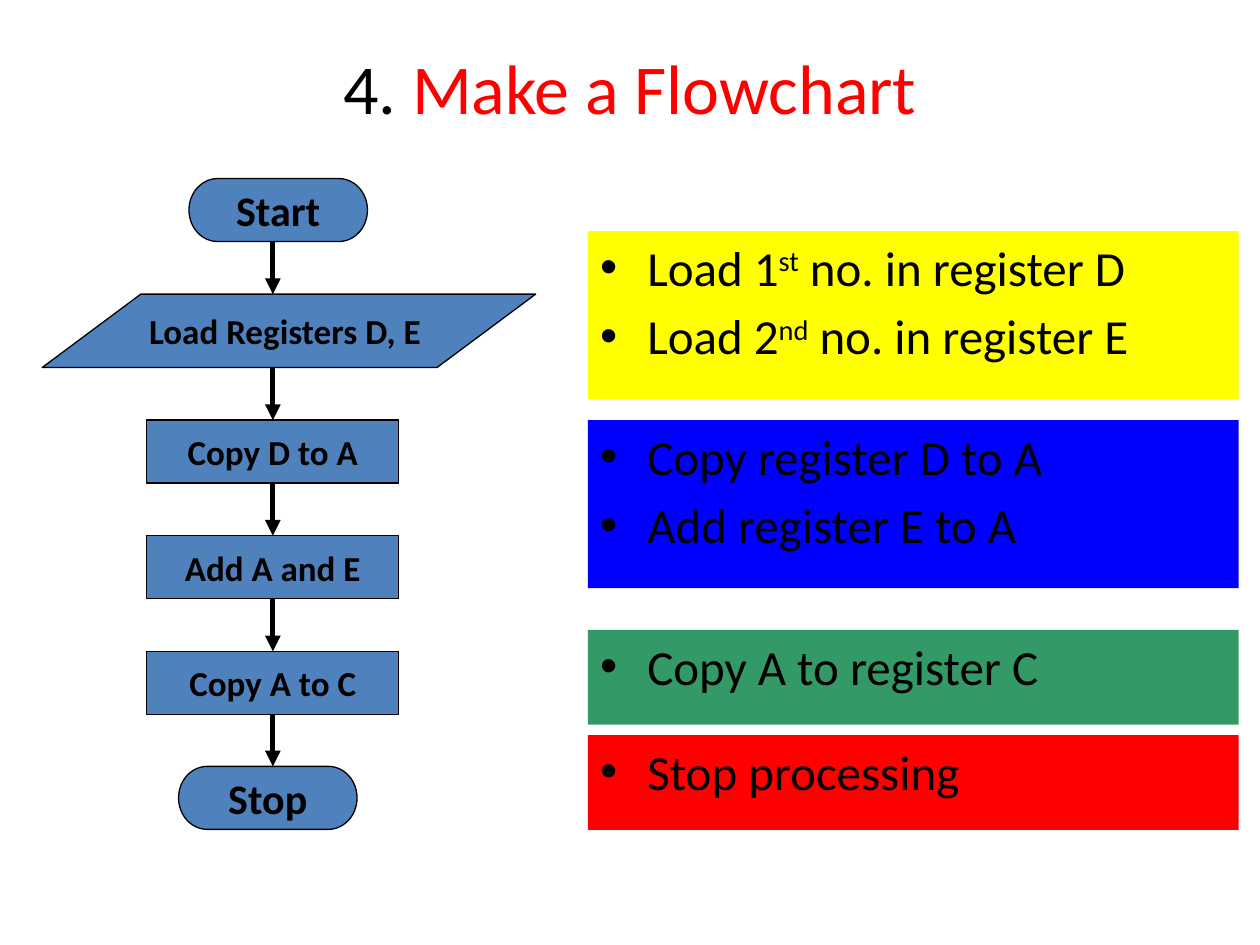
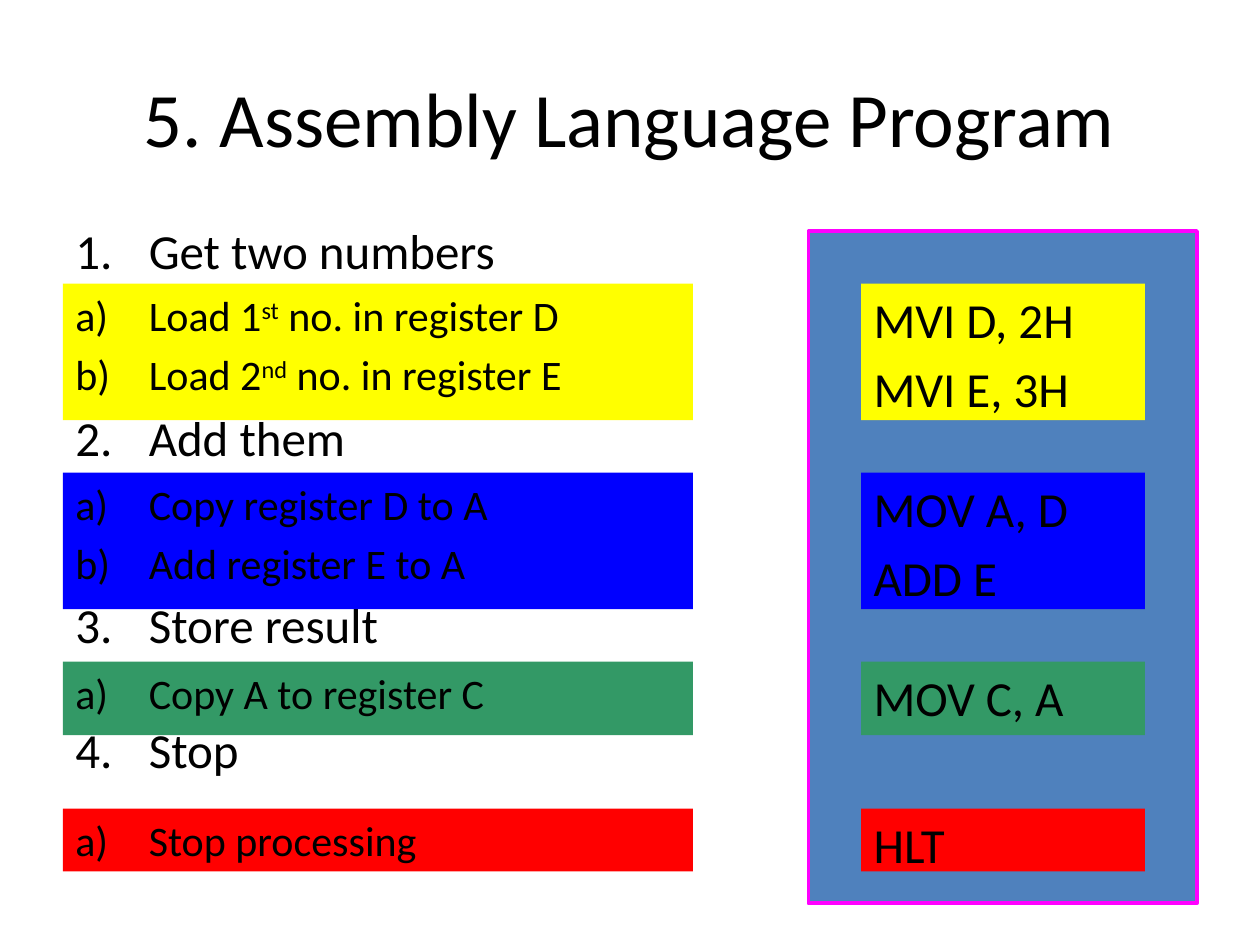
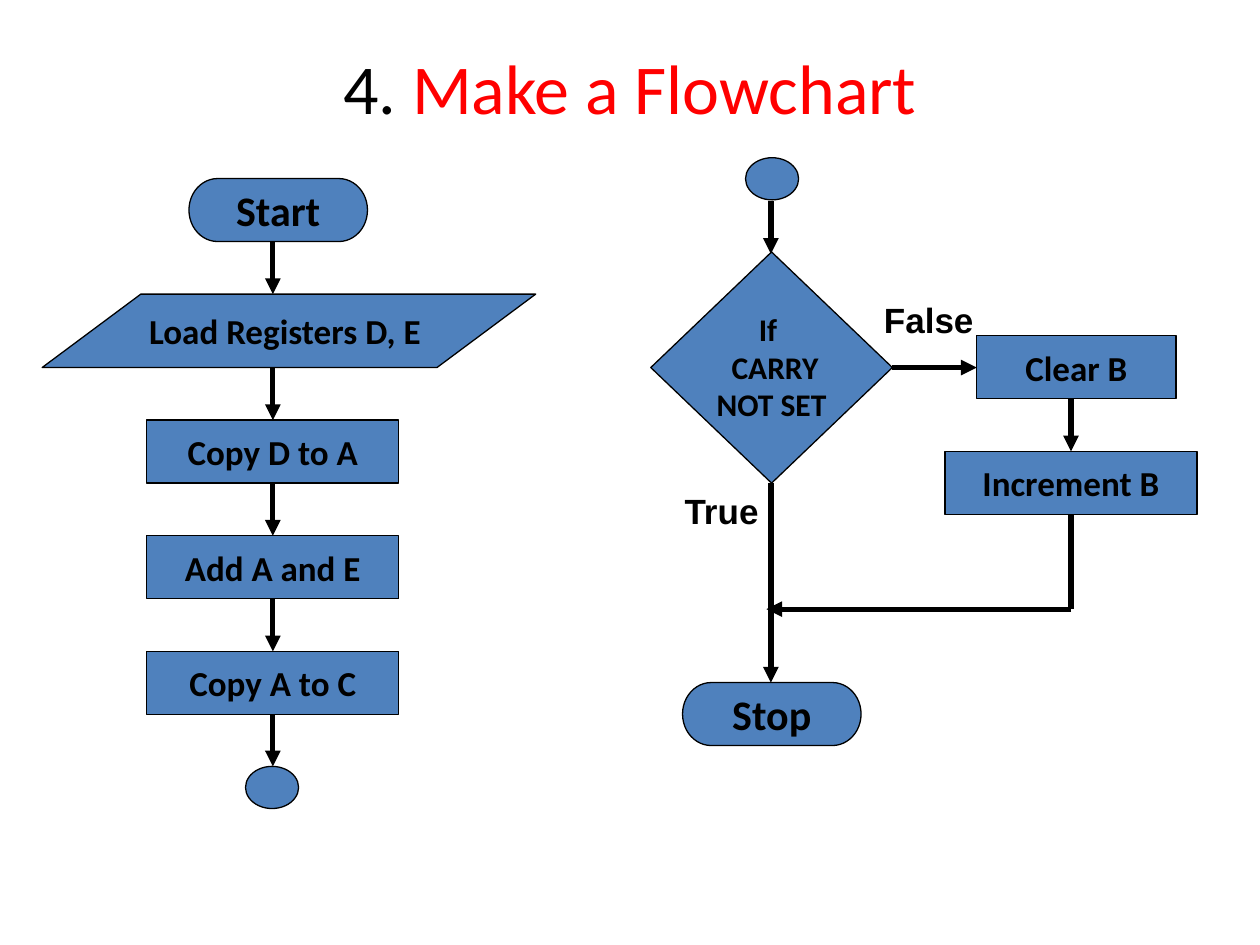
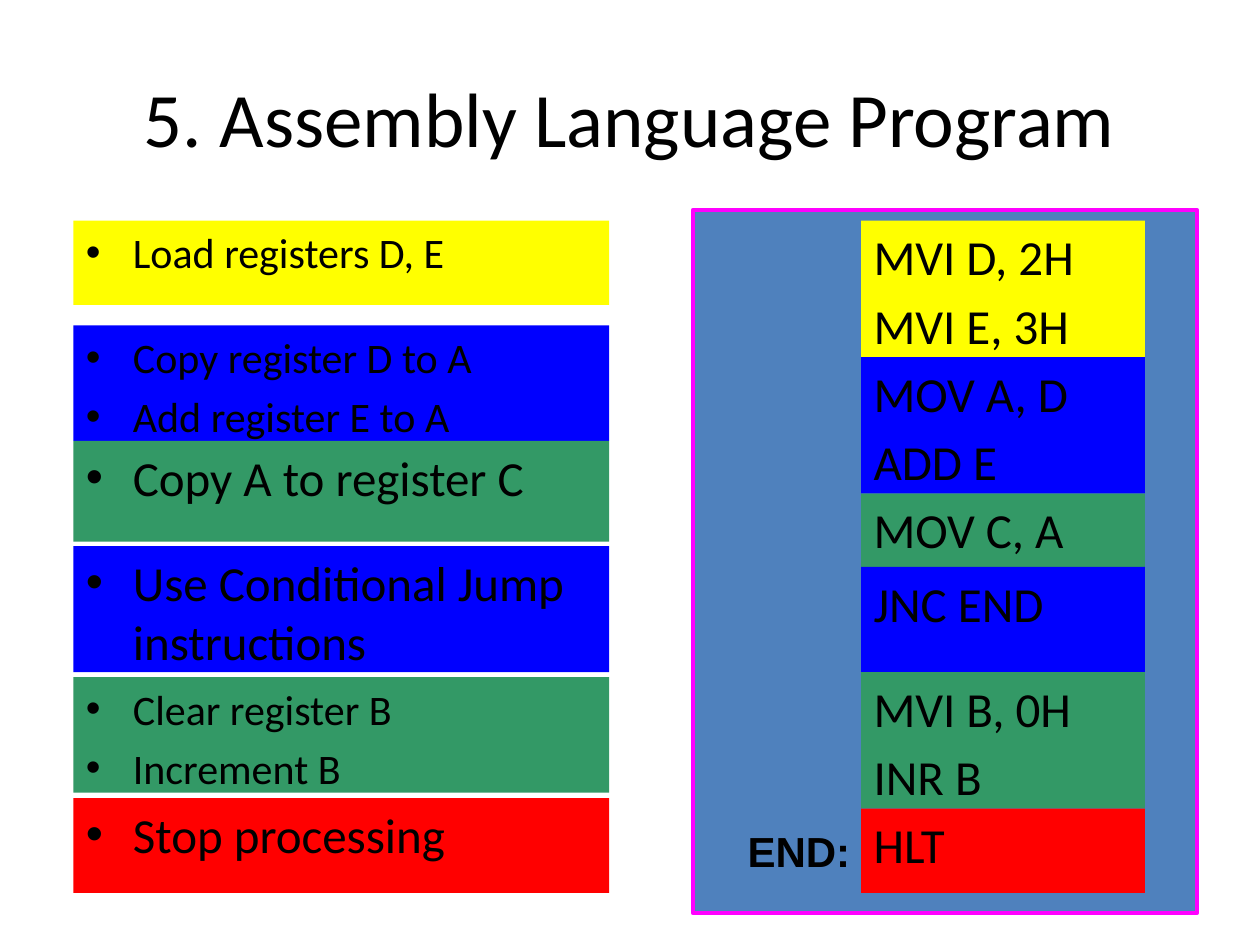
from dataclasses import dataclass

from lxml.etree import SubElement
from pptx import Presentation
from pptx.dml.color import RGBColor
from pptx.enum.shapes import MSO_CONNECTOR, MSO_SHAPE
from pptx.enum.text import MSO_ANCHOR, MSO_AUTO_SIZE, PP_ALIGN
from pptx.oxml.ns import qn
from pptx.util import Cm, Pt


@dataclass(frozen=True)
class Theme:
    font: str = "Calibri"
    label: str = "Arial"
    ink: str = "000000"
    node: str = "4F81BD"
    frame: str = "FF00FF"
    yellow: str = "FFFF00"
    blue: str = "0000FF"
    green: str = "339966"
    red: str = "FF0000"
    title: int = 44
    short: int = 40
    large: int = 28
    mid: int = 24
    small: int = 20
    tiny: int = 18


T = Theme()

# Bullet kinds: tag and attributes
DOT = ("a:buChar", {"char": "•"})
NUMBER = ("a:buAutoNum", {"type": "arabicPeriod"})
LETTER = ("a:buAutoNum", {"type": "alphaLcParenR"})
PLAIN = ("a:buNone", {})

# Node kinds
OVAL = MSO_SHAPE.FLOWCHART_TERMINATOR
STEP = MSO_SHAPE.FLOWCHART_PROCESS
DATA = MSO_SHAPE.FLOWCHART_DATA
TEST = MSO_SHAPE.FLOWCHART_DECISION
JOINT = MSO_SHAPE.FLOWCHART_CONNECTOR

# Left flow: kind, text, box in cm, type size
AXIS = 5.5
NAMES = ("Copy D to A", "Add A and E", "Copy A to C")
FLOW = [
    (OVAL, "Start", (3.81, 3.6, 3.6, 1.27), T.mid),
    (DATA, "Load Registers D, E ", (0.85, 5.93, 9.95, 1.48), T.small),
] + [(STEP, name, (2.96, 8.47 + 2.33 * i, 5.08, 1.27), T.small)
     for i, name in enumerate(NAMES)]

# Wording used on several slides
LOAD = ["Load 1^st^ no. in register D", "Load 2^nd^ no. in register E"]
ADD = ["Copy register D to A", "Add register E to A"]
STORE = ["Copy A to register C"]
HALT = ["Stop processing"]
MVI = ["MVI D, 2H", "MVI E, 3H"]
MOV = ["MOV A, D", "ADD E"]
SAVE = ["MOV C, A"]


def rgb(code):
    return RGBColor.from_string(code)


def apply(thing, **values):
    for name, value in values.items():
        setattr(thing, name, value)


def place(box):
    return [Cm(v) for v in box]


def write(par, text, size, color=T.ink, name=T.font, bold=False):
    """Add runs; text between ^ marks is raised."""
    for i, part in enumerate(text.split("^")):
        run = par.add_run()
        run.text = part
        apply(run.font, name=name, size=Pt(size), bold=bold)
        run.font.color.rgb = rgb(color)
        if i % 2:
            run.font.element.set("baseline", "30000") if hasattr(
                run.font, "element") else run._r.get_or_add_rPr().set(
                "baseline", "30000")


def lines(frame, texts, **style):
    """Yield one filled paragraph for each text."""
    for i, text in enumerate(texts):
        par = frame.add_paragraph() if i else frame.paragraphs[0]
        write(par, text, **style)
        yield par


def hang(par, bullet, indent, gap=True):
    """Set the hanging indent, the space before and the bullet."""
    props = par._p.get_or_add_pPr()
    props.set("marL", str(Cm(indent)))
    props.set("indent", str(-Cm(indent)))
    if gap:
        before = SubElement(props, qn("a:spcBef"))
        SubElement(before, qn("a:spcPct"), val="20000")
    tag, values = bullet
    if bullet is DOT:
        SubElement(props, qn("a:buFont"), typeface=T.label)
    SubElement(props, qn(tag), **values)


def shape(slide, kind, box, fill, line=None, width=0.75):
    item = slide.shapes.add_shape(kind, *place(box))
    item.shadow.inherit = False
    item.fill.solid()
    item.fill.fore_color.rgb = rgb(fill)
    if line:
        item.line.color.rgb = rgb(line)
        item.line.width = Pt(width)
    else:
        item.line.fill.background()
    return item


def panel(slide, box):
    shape(slide, MSO_SHAPE.RECTANGLE, box, T.node, T.frame, 2.25)


def node(slide, kind, text, box, size):
    item = shape(slide, kind, box, T.node, T.ink)
    if text:
        frame = item.text_frame
        apply(frame, word_wrap=False, vertical_anchor=MSO_ANCHOR.MIDDLE)
        for par in lines(frame, text.split("\n"), size=size, bold=True):
            par.alignment = PP_ALIGN.CENTER
    return item


def block(slide, box, fill, texts, size, bullet=DOT, indent=0.95):
    frame = shape(slide, MSO_SHAPE.RECTANGLE, box, fill).text_frame
    apply(frame, word_wrap=True, vertical_anchor=MSO_ANCHOR.TOP)
    for par in lines(frame, texts, size=size):
        par.alignment = PP_ALIGN.LEFT
        hang(par, bullet, indent)


def label(slide, text, box, size):
    frame = slide.shapes.add_textbox(*place(box)).text_frame
    apply(frame, word_wrap=True, auto_size=MSO_AUTO_SIZE.SHAPE_TO_FIT_TEXT)
    write(frame.paragraphs[0], text, size, name=T.label, bold=True)


def link(slide, start, end, head=True):
    item = slide.shapes.add_connector(
        MSO_CONNECTOR.STRAIGHT, *place(start + end))
    item.line.color.rgb = rgb(T.ink)
    item.line.width = Pt(3)
    props = item.element.spPr
    if head:
        SubElement(props.find(qn("a:ln")), qn("a:tailEnd"), type="triangle")
    SubElement(props, qn("a:effectLst"))


def page(deck, parts, height, size):
    """Add a slide whose title is made of (text, colour) parts."""
    slide = deck.slides.add_slide(deck.slide_layouts[5])
    title = slide.shapes.title
    left, top, width, tall = place((1.27, 0.76, 22.86, height))
    apply(title, left=left, top=top, width=width, height=tall)
    apply(title.text_frame, word_wrap=True, auto_size=MSO_AUTO_SIZE.NONE,
          vertical_anchor=MSO_ANCHOR.MIDDLE)
    par = title.text_frame.paragraphs[0]
    par.alignment = PP_ALIGN.CENTER
    for text, color in parts:
        write(par, text, size, color)
    return slide


def chart(deck, last):
    """Add a flowchart slide with the left flow ending in the last node."""
    parts = [("4.", T.ink), (" Make a Flowchart", T.red)]
    slide = page(deck, parts, 1.98, T.short)
    flow = FLOW + [last]
    for item in flow:
        node(slide, *item)
    for (_, _, above, _), (_, _, below, _) in zip(flow, flow[1:]):
        link(slide, (AXIS, above[1] + above[3]), (AXIS, below[1]))
    return slide


def code(deck):
    return page(deck, [("5. Assembly Language Program", T.ink)], 3.18, T.title)


def sum_chart(deck):
    slide = chart(deck, (OVAL, "Stop", (3.6, 15.45, 3.6, 1.27), T.mid))
    for top, height, fill, texts in (
            (4.66, 3.39, T.yellow, LOAD), (8.47, 3.39, T.blue, ADD),
            (12.7, 1.91, T.green, STORE), (14.82, 1.91, T.red, HALT)):
        block(slide, (11.85, top, 13.12, height), fill, texts, T.large)


def sum_code(deck):
    slide = code(deck)
    panel(slide, (16.3, 4.66, 7.83, 13.55))

    # Numbered headings, spaced to leave room for the bands
    heads = ["Get two numbers", "Add them", "Store result", "Stop"]
    frame = slide.shapes.add_textbox(
        *place((1.27, 4.45, 10.16, 12.57))).text_frame
    frame.word_wrap = True
    gaps = (0, 76.7, 76.7, 40.9)
    for par, gap in zip(lines(frame, heads, size=T.large), gaps):
        apply(par, line_spacing=0.9, space_before=Pt(gap))
        hang(par, NUMBER, 1.48, gap=False)

    # Steps and their instructions
    for top, height, fill, texts, codes in (
            (5.72, 2.75, T.yellow, LOAD, MVI),
            (9.53, 2.75, T.blue, ADD, MOV),
            (13.34, 1.48, T.green, STORE, SAVE),
            (16.3, 1.27, T.red, HALT, ["HLT"])):
        block(slide, (1.27, top, 12.7, height), fill, texts, T.mid,
              LETTER, 1.48)
        block(slide, (17.36, top, 5.72, height), fill, codes, T.large, PLAIN)


def carry_chart(deck):
    slide = chart(deck, (JOINT, "", (4.95, 15.45, 1.07, 0.85), T.small))

    # Right flow
    for item in (
            (OVAL, "Stop", (13.76, 13.76, 3.6, 1.27), T.mid),
            (JOINT, "", (15.03, 3.18, 1.07, 0.85), T.small),
            (STEP, "Clear B", (19.69, 6.77, 4.02, 1.27), T.small),
            (STEP, "Increment B", (19.05, 9.1, 5.08, 1.27), T.small)):
        node(slide, *item)
    test = node(slide, TEST, "If \n CARRY\nNOT SET",
                (13.12, 5.08, 4.87, 4.66), T.tiny)
    apply(test.text_frame, margin_top=0, vertical_anchor=MSO_ANCHOR.TOP)

    # Links
    mid, side, turn = 15.54, 21.59, 12.28
    for start, end in (
            ((mid, 4.06), (mid, 5.12)), ((mid, 9.74), (mid, 13.76)),
            ((17.99, 7.41), (19.69, 7.41)), ((side, 8.04), (side, 9.1)),
            ((side, turn), (15.45, turn))):
        link(slide, start, end)
    link(slide, (side, 10.37), (side, turn), head=False)
    label(slide, "False", (17.57, 5.9, 2.33, 1.09), T.small)
    label(slide, "True", (13.55, 9.74, 2.33, 1.09), T.small)


def carry_code(deck):
    slide = code(deck)
    panel(slide, (13.97, 4.23, 10.16, 14.18))

    # Steps
    for top, height, fill, texts, size in (
            (4.45, 1.7, T.yellow, ["Load registers D, E"], T.mid),
            (6.56, 2.33, T.blue, ADD, T.mid),
            (8.89, 2.03, T.green, STORE, T.large),
            (11.01, 2.54, T.blue, ["Use Conditional Jump instructions"],
             T.large),
            (13.65, 2.33, T.green, ["Clear register B", "Increment B"], T.mid),
            (16.09, 1.91, T.red, HALT, T.large)):
        block(slide, (1.48, top, 10.8, height), fill, texts, size)

    # Instructions, stacked without gaps
    top = 4.45
    for height, fill, codes in (
            (2.75, T.yellow, MVI), (2.75, T.blue, MOV), (1.48, T.green, SAVE),
            (2.12, T.blue, ["JNC END"]),
            (2.75, T.green, ["MVI B, 0H", "INR B"]), (1.7, T.red, ["HLT"])):
        block(slide, (17.36, top, 5.72, height), fill, codes, T.large, PLAIN)
        top += height
    label(slide, "END:", (14.82, 16.51, 2.75, 1.27), T.mid)


def main():
    deck = Presentation()
    apply(deck, slide_width=Cm(25.4), slide_height=Cm(19.05))
    for build in (sum_chart, sum_code, carry_chart, carry_code):
        build(deck)
    deck.save("out.pptx")


if __name__ == "__main__":
    main()
